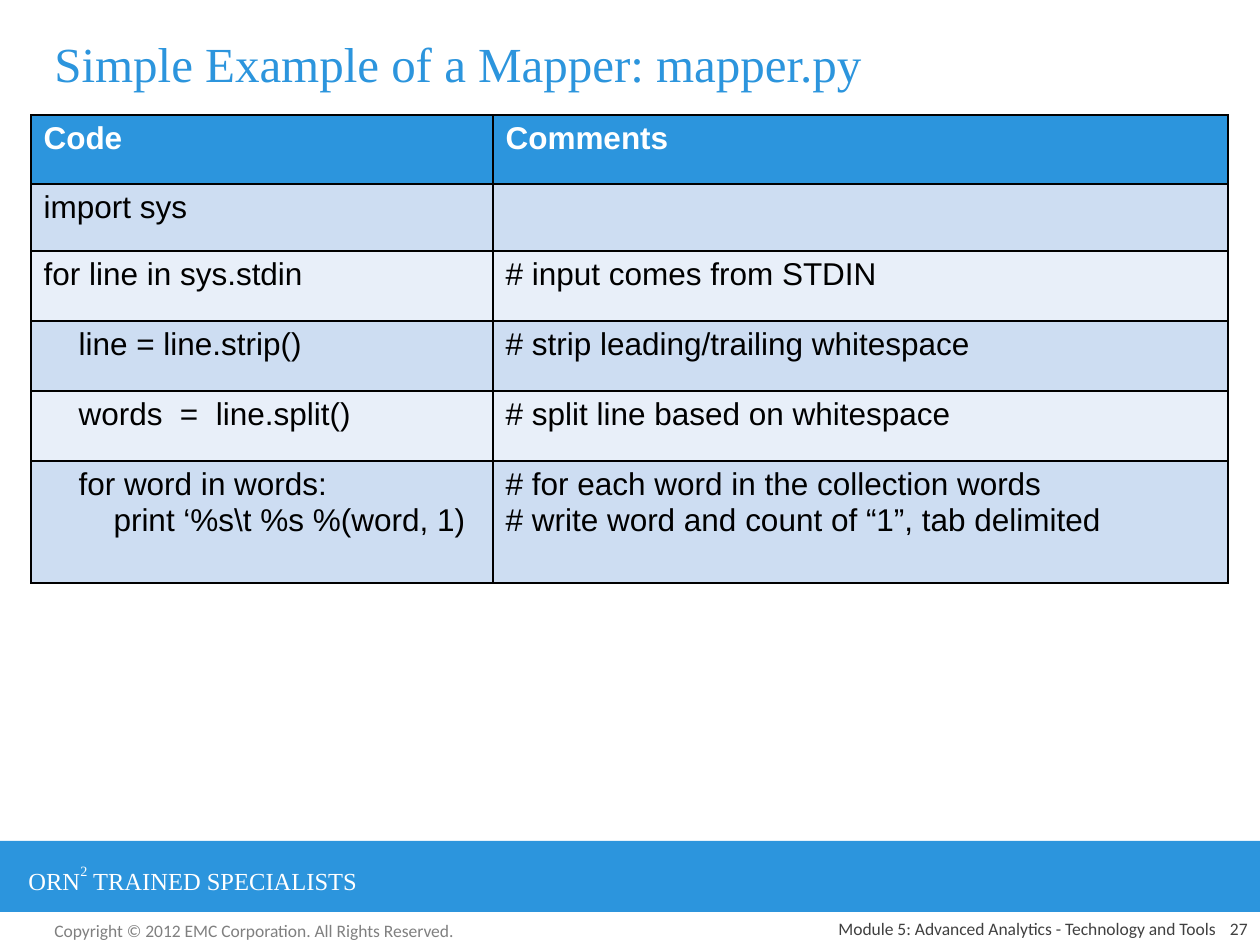
from pptx import Presentation
from pptx.dml.color import RGBColor
from pptx.enum.shapes import MSO_SHAPE
from pptx.enum.text import MSO_ANCHOR, PP_ALIGN
from pptx.oxml import parse_xml
from pptx.oxml.ns import nsdecls

EMU_PER_PX = 914400 / 126
BLUE = RGBColor(0x2C, 0x95, 0xDD)
PALE_BLUE = RGBColor(0xCD, 0xDD, 0xF2)
PALER_BLUE = RGBColor(0xE8, 0xEF, 0xF9)
WHITE = RGBColor(0xFF, 0xFF, 0xFF)
BLACK = RGBColor(0, 0, 0)
GRAY = RGBColor(0x80, 0x80, 0x80)
DARK_GRAY = RGBColor(0x40, 0x40, 0x40)


def px(length):
    return round(length * EMU_PER_PX)


class SlideBuilder:
    formats = {
        "title": {"name": "Times New Roman", "size": 28, "color": BLUE},
        "banner": {"name": "Times New Roman", "size": 14, "color": WHITE},
        "copyright": {"name": "Calibri", "size": 10, "color": GRAY},
        "footer": {"name": "Calibri", "size": 10, "color": DARK_GRAY},
        "header": {"name": "Arial", "size": 18, "color": WHITE, "bold": True},
        "body": {"name": "Arial", "size": 18, "color": BLACK, "bold": False},
    }

    def __init__(self, slide):
        self.slide = slide

    def format_run(self, run, style):
        for key, value in self.formats[style].items():
            if key == "color":
                run.font.color.rgb = value
            else:
                setattr(run.font, key, value * 12700 if key == "size" else value)

    def text(self, box, pieces, style, anchor=MSO_ANCHOR.TOP, align=PP_ALIGN.LEFT):
        """Pieces are (text, baseline percent) pairs on one line."""
        frame = self.slide.shapes.add_textbox(*map(px, box)).text_frame
        frame.word_wrap = True
        frame.vertical_anchor = anchor
        paragraph = frame.paragraphs[0]
        paragraph.alignment = align
        for words, baseline in pieces:
            run = paragraph.add_run()
            run.text = words
            self.format_run(run, style)
            if baseline:
                run.font._element.set("baseline", str(baseline * 1000))

    def bar(self, box, color):
        shape = self.slide.shapes.add_shape(MSO_SHAPE.RECTANGLE, *map(px, box))
        shape.shadow.inherit = False
        shape.fill.solid()
        shape.fill.fore_color.rgb = color
        shape.line.fill.background()

    def border(self, cell):
        properties = cell._tc.get_or_add_tcPr()
        for index, side in enumerate(("lnL", "lnR", "lnT", "lnB")):
            properties.insert(index, parse_xml(
                f'<a:{side} {nsdecls("a")} w="12700"><a:solidFill>'
                f'<a:srgbClr val="{BLACK}"/></a:solidFill></a:{side}>'))

    def table(self, left, top, widths, heights, rows):
        box = (left, top, sum(widths), sum(heights))
        table = self.slide.shapes.add_table(
            len(rows), len(widths), *map(px, box)).table
        for column, width in zip(table.columns, widths):
            column.width = px(width)
        for index, (row, height, texts) in enumerate(zip(table.rows, heights, rows)):
            row.height = px(height)
            color = (PALE_BLUE if index % 2 else PALER_BLUE) if index else BLUE
            for cell, words in zip(row.cells, texts):
                cell.fill.solid()
                cell.fill.fore_color.rgb = color
                self.border(cell)
                cell.text = words
                for paragraph in cell.text_frame.paragraphs:
                    for run in paragraph.runs:
                        self.format_run(run, "body" if index else "header")


def main():
    presentation = Presentation()
    presentation.slide_width, presentation.slide_height = px(1260), px(945)
    builder = SlideBuilder(
        presentation.slides.add_slide(presentation.slide_layouts[6]))

    # Copyright and banner
    builder.text(
        (42, 914, 431, 34),
        [("Copyright © 2012 EMC Corporation. All Rights Reserved.", 0)], "copyright")
    builder.bar((0, 841, 1260, 71), BLUE)
    builder.text((16, 856, 466, 43),
                 [("ORN", 0), ("2", 56), (" TRAINED SPECIALISTS", 0)], "banner")

    # Title
    builder.text((42, 10, 1166, 105), [("Simple Example of a Mapper: mapper.py", 0)],
                 "title", MSO_ANCHOR.MIDDLE)

    # Code with comments; \v is a line break inside a paragraph
    builder.table(31, 115, (462, 735), (69, 67, 70, 70, 70, 122), [
        ("Code", "Comments"),
        ("import sys", ""),
        ("for line in sys.stdin", "# input comes from STDIN"),
        ("    line = line.strip()", "# strip leading/trailing whitespace"),
        ("    words  =  line.split()", "# split line based on whitespace"),
        ("    for word in words:\n        print ‘%s\\t %s %(word, 1)",
         "# for each word in the collection words\v"
         "# write word and count of “1”, tab delimited"),
    ])

    # Page number and module name
    for box, words in (
        ((1197, 914, 63, 31), "27"),
        ((651, 914, 577, 31), "Module 5: Advanced Analytics - Technology and Tools"),
    ):
        builder.text(box, [(words, 0)], "footer", MSO_ANCHOR.BOTTOM, PP_ALIGN.RIGHT)

    presentation.save("out.pptx")


if __name__ == "__main__":
    main()
